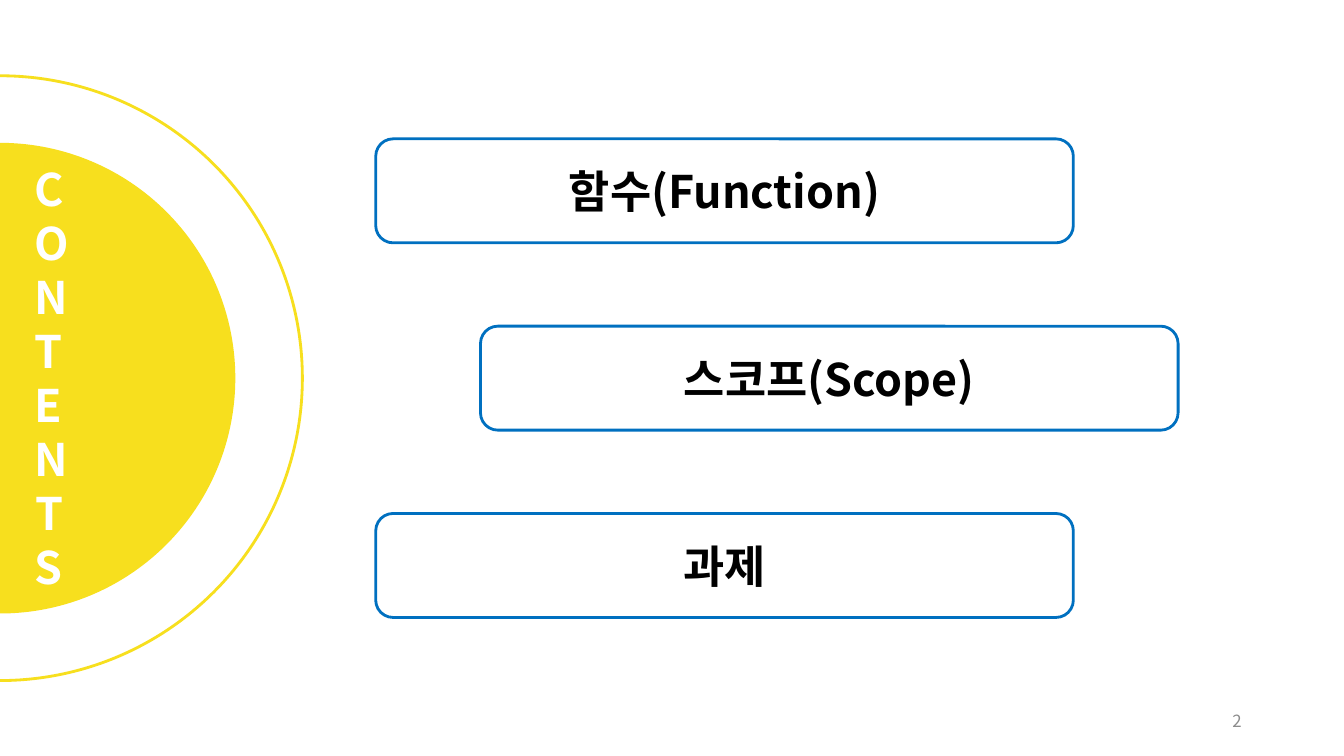
import pptx
import pptx.util
import pptx.dml.color
import pptx.enum.shapes
import pptx.enum.text
from pptx.oxml.ns import qn
from lxml import etree

Cm, Pt = pptx.util.Cm, pptx.util.Pt
SHAPE = pptx.enum.shapes.MSO_SHAPE
ALIGN = pptx.enum.text.PP_ALIGN
ANCHOR = pptx.enum.text.MSO_ANCHOR

# Content
HEADING = "CONTENTS"
TOPICS = ["함수(Function)", "스코프(Scope)", "과제"]
PAGE_NUMBER = "2"

THEME = {
    "font": "Noto Sans CJK KR",
    "yellow": "F7DF1E", "blue": "0070C0", "white": "FFFFFF",
    "black": "000000", "gray": "8C8C8C",
    "large": 32, "small": 12, "line": 2, "heading_pitch": 38.6,
}

# Layout in centimetres
SLIDE_W, SLIDE_H = 33.87, 19.05
CIRCLE_CENTRE_Y = 9.53
DISC_SIZE, RING_SIZE = 11.86, 15.24
TOPIC_W, TOPIC_H = 17.58, 2.62
TOPIC_LEFT, TOPIC_TOP = 9.47, 3.5
TOPIC_INDENT, TOPIC_PITCH = 2.64, 4.72


def rgb(name):
    return pptx.dml.color.RGBColor.from_string(THEME[name])


def write(shape, text, color, size, align, anchor=ANCHOR.MIDDLE, bold=True):
    frame = shape.text_frame
    frame.word_wrap = True
    frame.vertical_anchor = anchor
    paragraph = frame.paragraphs[0]
    paragraph.alignment = align
    run = paragraph.add_run()
    run.text = text
    formats = {"name": THEME["font"], "size": Pt(THEME[size]), "bold": bold}
    for attribute, value in formats.items():
        setattr(run.font, attribute, value)
    run.font.color.rgb = rgb(color)
    east_asian = etree.SubElement(run.font._element, qn("a:ea"))
    east_asian.set("typeface", THEME["font"])
    return paragraph


def draw(kind, left, top, width, height, fill=None, line=None):
    shape = slide.shapes.add_shape(kind, Cm(left), Cm(top), Cm(width), Cm(height))
    shape.shadow.inherit = False
    if fill:
        shape.fill.solid()
        shape.fill.fore_color.rgb = rgb(fill)
    else:
        shape.fill.background()
    if line:
        shape.line.color.rgb = rgb(line)
        shape.line.width = Pt(THEME["line"])
    else:
        shape.line.fill.background()
    return shape


def draw_circle(size, **colors):
    draw(SHAPE.OVAL, -size / 2, CIRCLE_CENTRE_Y - size / 2, size, size, **colors)


deck = pptx.Presentation()
deck.slide_width, deck.slide_height = Cm(SLIDE_W), Cm(SLIDE_H)
slide = deck.slides.add_slide(deck.slide_layouts[6])

# Half circles with the heading, one letter to a line
draw_circle(DISC_SIZE, fill="yellow")
heading = slide.shapes.add_textbox(Cm(0.61), Cm(3.94), Cm(1.22), Cm(11.2))
letters = write(heading, HEADING, "white", "large", ALIGN.CENTER, ANCHOR.TOP)
letters.line_spacing = Pt(THEME["heading_pitch"])
draw_circle(RING_SIZE, line="yellow")

# Topics, every second one indented
for index, topic in enumerate(TOPICS):
    left = TOPIC_LEFT + TOPIC_INDENT * (index % 2)
    top = TOPIC_TOP + TOPIC_PITCH * index
    topic_box = draw(SHAPE.ROUNDED_RECTANGLE, left, top, TOPIC_W, TOPIC_H,
                     fill="white", line="blue")
    write(topic_box, topic, "black", "large", ALIGN.CENTER)

# Page number
page = slide.shapes.add_textbox(Cm(23.92), Cm(17.66), Cm(7.62), Cm(1.01))
write(page, PAGE_NUMBER, "gray", "small", ALIGN.RIGHT, bold=False)

deck.save("out.pptx")
